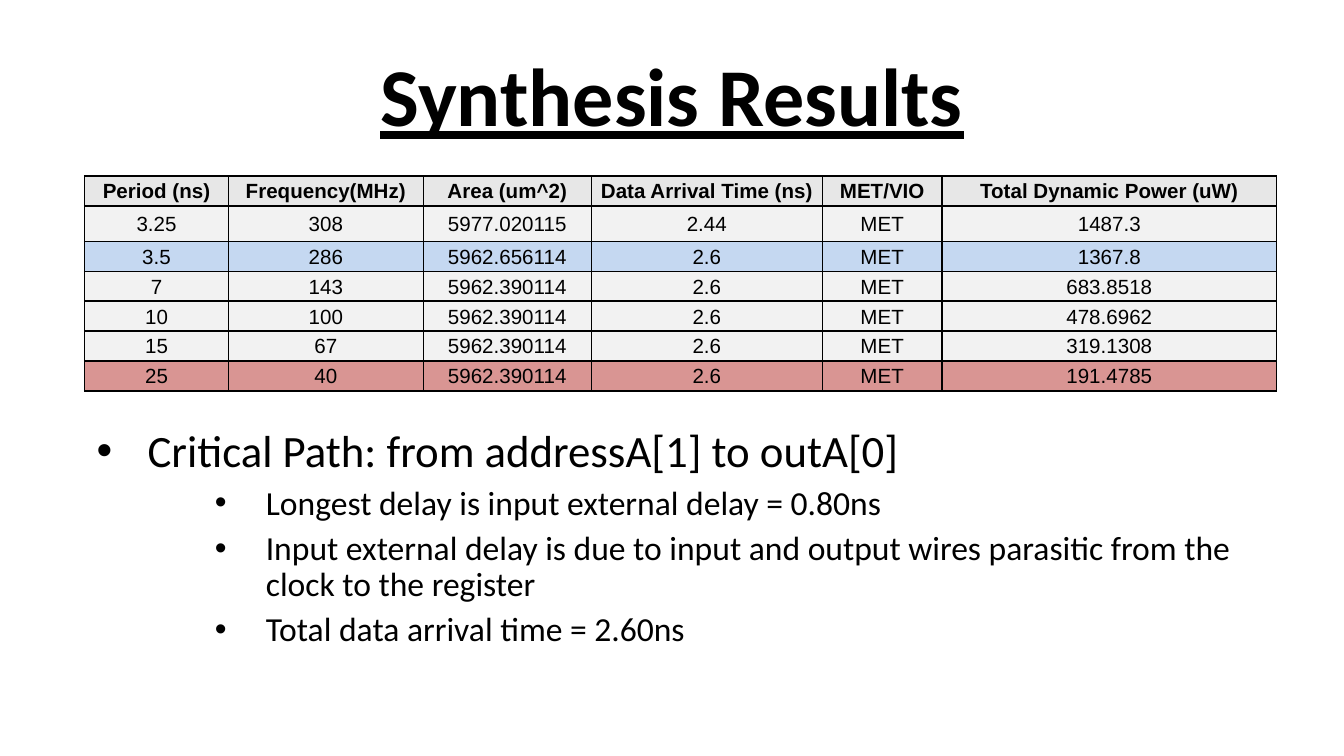
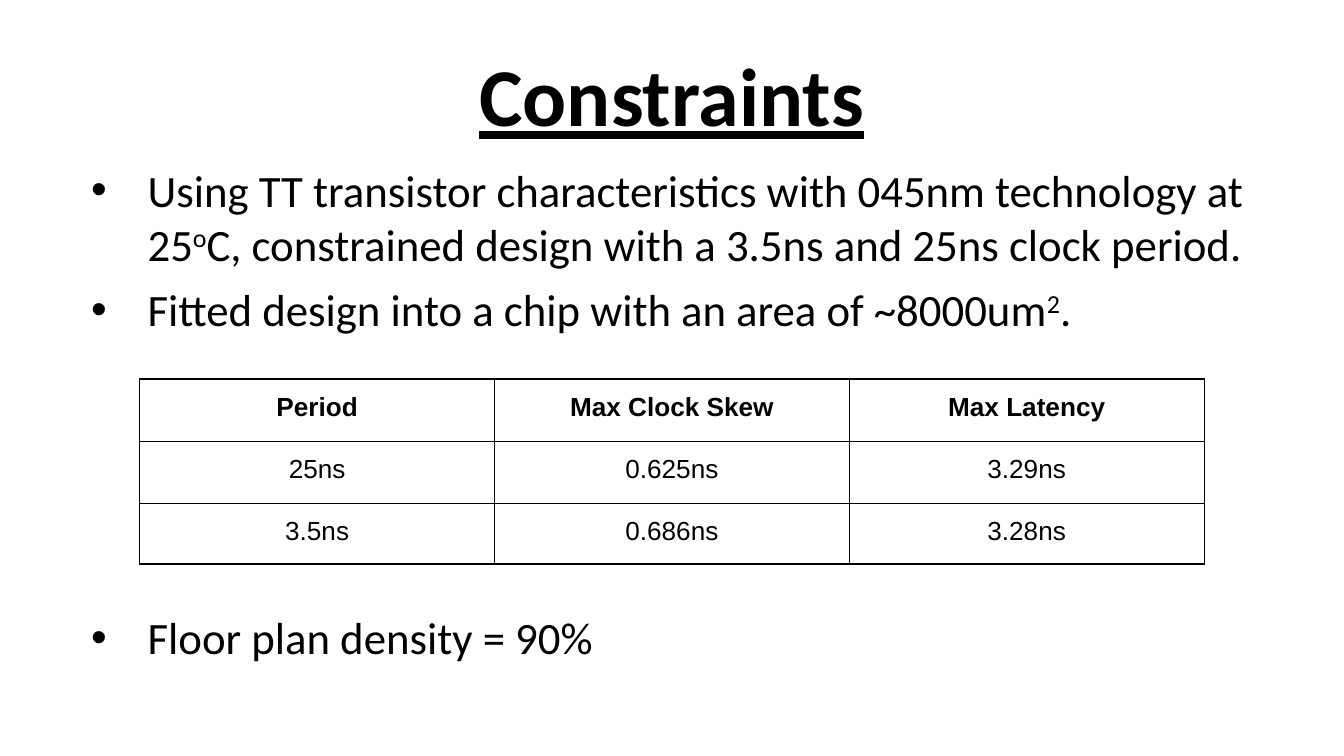
"""Build two slides on chip synthesis results and design constraints."""
from dataclasses import dataclass
from typing import NamedTuple, Optional

from lxml.etree import SubElement
from pptx import Presentation
from pptx.dml.color import RGBColor
from pptx.enum.text import MSO_ANCHOR, MSO_AUTO_SIZE, PP_ALIGN
from pptx.oxml.ns import qn
from pptx.oxml.xmlchemy import OxmlElement
from pptx.slide import Slide
from pptx.util import Inches, Pt

BLACK = RGBColor(0x00, 0x00, 0x00)
HEADER_GREY = RGBColor(0xE7, 0xE7, 0xE7)
ROW_GREY = RGBColor(0xF2, 0xF2, 0xF2)
FAST_BLUE = RGBColor(0xC5, 0xD8, 0xF1)
SLOW_RED = RGBColor(0xD9, 0x95, 0x93)

SLIDE_WIDTH = Inches(10)
SLIDE_HEIGHT = Inches(5.625)

TITLE_FONT = {"name": "Calibri", "size": Pt(44), "bold": True, "underline": True}
BODY_FONT = {"name": "Calibri", "size": Pt(24), "bold": False}
DETAIL_FONT = BODY_FONT | {"size": Pt(18)}
FRAME_FORMAT = {"word_wrap": True, "auto_size": MSO_AUTO_SIZE.NONE}


class Area(NamedTuple):
    """A rectangle in percent of the slide's width and height."""

    left: float
    top: float
    width: float
    height: float


@dataclass
class Bullet:
    """A bulleted paragraph; text between carets is raised."""

    text: str
    font: dict
    margin: float
    hanging: float
    spacing: dict
    level: int = 0


@dataclass
class Grid:
    """A table with column and row sizes in percent of the slide."""

    area: Area
    columns: list[float]
    heights: list[float]
    rows: list[list[str]]
    fills: list[Optional[RGBColor]]
    font_size: float
    border: float
    cell_format: dict


TITLE_AREA = Area(5, 4.09, 90, 16.71)


def across(share: float) -> int:
    """Convert a percentage of the slide's width to a length."""
    return round(SLIDE_WIDTH * share / 100)


def down(share: float) -> int:
    """Convert a percentage of the slide's height to a length."""
    return round(SLIDE_HEIGHT * share / 100)


def place(area: Area) -> tuple[int, int, int, int]:
    """Return left, top, width and height of an area as lengths."""
    return across(area.left), down(area.top), across(area.width), down(area.height)


def apply(target: object, values: dict) -> None:
    """Set each format value on the target."""
    for attribute, value in values.items():
        setattr(target, attribute, value)


def write(paragraph: object, text: str, font: dict) -> None:
    """Write black text, raising the parts between carets."""
    for index, part in enumerate(text.split("^")):
        run = paragraph.add_run()
        run.text = part
        apply(run.font, font)
        run.font.color.rgb = BLACK
        if index % 2:
            run._r.get_or_add_rPr().set("baseline", "30000")


def add_titled_slide(deck: object, title: str) -> Slide:
    """Add a title-only slide with the shared title style."""
    slide = deck.slides.add_slide(deck.slide_layouts[5])
    heading = slide.shapes.title
    heading.left, heading.top, heading.width, heading.height = place(TITLE_AREA)
    apply(heading.text_frame, FRAME_FORMAT | {"vertical_anchor": MSO_ANCHOR.MIDDLE})
    paragraph = heading.text_frame.paragraphs[0]
    paragraph.alignment = PP_ALIGN.CENTER
    write(paragraph, title, TITLE_FONT)
    return slide


def add_bullets(slide: Slide, area: Area, bullets: list[Bullet], inset: float = 0.05) -> None:
    """Add a text box of bullets that starts below the given top inset."""
    frame = slide.shapes.add_textbox(*place(area)).text_frame
    apply(frame, FRAME_FORMAT | {"margin_top": Inches(inset)})
    for index, bullet in enumerate(bullets):
        paragraph = frame.add_paragraph() if index else frame.paragraphs[0]
        apply(paragraph, bullet.spacing | {"level": bullet.level})
        properties = paragraph._p.get_or_add_pPr()
        properties.set("marL", str(Inches(bullet.margin)))
        properties.set("indent", str(-Inches(bullet.hanging)))
        colour = SubElement(properties, qn("a:buClr"))
        SubElement(colour, qn("a:srgbClr"), val=str(BLACK))
        SubElement(properties, qn("a:buFont"), typeface="Arial")
        SubElement(properties, qn("a:buChar"), char="•")
        write(paragraph, bullet.text, bullet.font)


def outline(cell: object, width: float) -> None:
    """Draw a black border on all four sides of a cell."""
    properties = cell._tc.get_or_add_tcPr()
    for index, side in enumerate(("a:lnL", "a:lnR", "a:lnT", "a:lnB")):
        line = OxmlElement(side)
        line.set("w", str(Pt(width)))
        fill = SubElement(line, qn("a:solidFill"))
        SubElement(fill, qn("a:srgbClr"), val=str(BLACK))
        properties.insert(index, line)


def add_grid(slide: Slide, grid: Grid) -> None:
    """Add a table whose first row is bold."""
    table = slide.shapes.add_table(
        len(grid.rows), len(grid.columns), *place(grid.area)
    ).table
    apply(table, {"first_row": False, "horz_banding": False})
    for column, share in zip(table.columns, grid.columns):
        column.width = across(share)
    for row, share in zip(table.rows, grid.heights):
        row.height = down(share)
    for r, (texts, fill) in enumerate(zip(grid.rows, grid.fills)):
        font = {"name": "Arial", "size": Pt(grid.font_size), "bold": r == 0}
        for c, text in enumerate(texts):
            cell = table.cell(r, c)
            apply(cell, grid.cell_format)
            if fill is None:
                cell.fill.background()
            else:
                cell.fill.solid()
                cell.fill.fore_color.rgb = fill
            outline(cell, grid.border)
            paragraph = cell.text_frame.paragraphs[0]
            paragraph.alignment = PP_ALIGN.CENTER
            run = paragraph.add_run()
            run.text = text
            apply(run.font, font)
            run.font.color.rgb = BLACK


def add_synthesis(deck: object) -> None:
    """Add the slide of synthesis results."""
    slide = add_titled_slide(deck, "Synthesis Results")
    headline = Bullet(
        "Critical Path: from addressA[1] to outA[0]",
        BODY_FONT, 0.5, 0.38, {"line_spacing": 0.9},
    )
    details = [
        Bullet(text, DETAIL_FONT, 1.38, 0.38,
               {"line_spacing": 0.9, "space_before": Pt(4.8)}, 2)
        for text in (
            "Longest delay is input external delay = 0.80ns",
            "Input external delay is due to input and output wires parasitic "
            "from the clock to the register",
            "Total data arrival time = 2.60ns",
        )
    ]
    add_bullets(slide, Area(5, 23.29, 90, 66.67), [headline, *details], inset=1.88)
    settled_area = "5962.390114"
    add_grid(slide, Grid(
        area=Area(6.3, 23.29, 88.7, 28.62),
        columns=[10.7, 14.5, 12.5, 17.2, 8.9, 24.9],
        heights=[3.96, 4.7] + [3.96] * 5,
        rows=[
            ["Period (ns)", "Frequency(MHz)", "Area (um^2)",
             "Data Arrival Time (ns)", "MET/VIO", "Total Dynamic Power (uW)"],
            ["3.25", "308", "5977.020115", "2.44", "MET", "1487.3"],
            ["3.5", "286", "5962.656114", "2.6", "MET", "1367.8"],
            ["7", "143", settled_area, "2.6", "MET", "683.8518"],
            ["10", "100", settled_area, "2.6", "MET", "478.6962"],
            ["15", "67", settled_area, "2.6", "MET", "319.1308"],
            ["25", "40", settled_area, "2.6", "MET", "191.4785"],
        ],
        fills=[HEADER_GREY, ROW_GREY, FAST_BLUE, *[ROW_GREY] * 3, SLOW_RED],
        font_size=11,
        border=1,
        cell_format={
            "vertical_anchor": MSO_ANCHOR.MIDDLE, "margin_left": Inches(0.01),
            "margin_right": Inches(0.01), "margin_top": Inches(0.01),
            "margin_bottom": 0,
        },
    ))


def add_constraints(deck: object) -> None:
    """Add the slide of design constraints."""
    slide = add_titled_slide(deck, "Constraints")
    points = {
        "Using TT transistor characteristics with 045nm technology at "
        "25^o^C, constrained design with a 3.5ns and 25ns clock period.": 6.4,
        "Fitted design into a chip with an area of ~8000um^2^.": 6.4,
        "Floor plan density = 90%": 147,
    }
    add_bullets(slide, Area(5, 20.62, 90, 68.44), [
        Bullet(text, BODY_FONT, 0.5, 0.42, {"space_before": Pt(gap)})
        for text, gap in points.items()
    ])
    sides = ("left", "right", "top", "bottom")
    add_grid(slide, Grid(
        area=Area(10.4, 50.13, 79.2, 24.36),
        columns=[26.4] * 3,
        heights=[8.25, 8.25, 8],
        rows=[
            ["Period", "Max Clock Skew", "Max Latency"],
            ["25ns", "0.625ns", "3.29ns"],
            ["3.5ns", "0.686ns", "3.28ns"],
        ],
        fills=[None] * 3,
        font_size=14,
        border=0.75,
        cell_format={f"margin_{side}": Inches(0.1) for side in sides},
    ))


def main() -> None:
    """Build and save the presentation."""
    deck = Presentation()
    apply(deck, {"slide_width": SLIDE_WIDTH, "slide_height": SLIDE_HEIGHT})
    add_synthesis(deck)
    add_constraints(deck)
    deck.save("out.pptx")


main()
